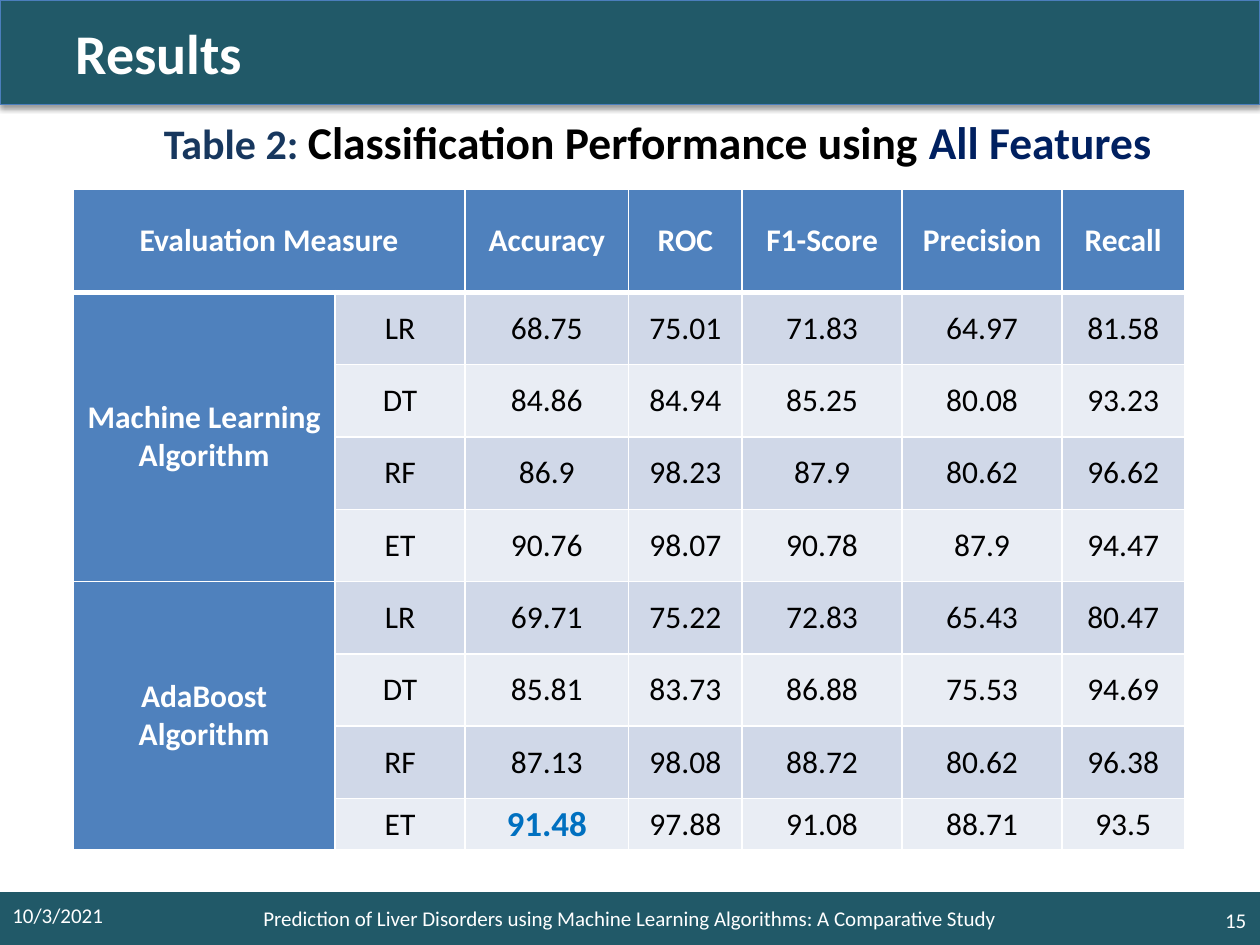
"""Build the results slide with the table of classification performance."""
from dataclasses import dataclass
from typing import Any

from lxml.etree import SubElement
from pptx import Presentation
from pptx.dml.color import RGBColor
from pptx.enum.shapes import MSO_SHAPE as Preset
from pptx.enum.text import MSO_ANCHOR as Anchor, MSO_AUTO_SIZE as AutoSize, PP_ALIGN as Align
from pptx.oxml.ns import qn
from pptx.util import Inches, Pt

WHITE = RGBColor(0xFF, 0xFF, 0xFF)
BLACK = RGBColor(0x00, 0x00, 0x00)
TEAL = RGBColor(0x21, 0x59, 0x68)
OUTLINE = RGBColor(0x4B, 0x7E, 0xBC)
CAPTION_BLUE = RGBColor(0x17, 0x37, 0x5E)
NAVY = RGBColor(0x00, 0x20, 0x60)
HEADER_BLUE = RGBColor(0x4F, 0x81, 0xBD)
BANDS = (RGBColor(0xD0, 0xD8, 0xE8), RGBColor(0xE9, 0xED, 0xF4))
BEST_BLUE = RGBColor(0x00, 0x70, 0xC0)


@dataclass(frozen=True)
class Box:
    left: float
    top: float
    width: float
    height: float

    def lengths(self) -> tuple:
        return tuple(Inches(value) for value in (self.left, self.top, self.width, self.height))


@dataclass(frozen=True)
class Words:
    text: str
    size: float
    color: RGBColor = WHITE
    bold: bool = False


@dataclass(frozen=True)
class Group:
    name: str
    results: tuple


HEADINGS = ("Evaluation Measure", "", "Accuracy", "ROC", "F1-Score", "Precision", "Recall")
GROUPS = (
    Group("Machine Learning Algorithm", (
        ("LR", "68.75", "75.01", "71.83", "64.97", "81.58"),
        ("DT", "84.86", "84.94", "85.25", "80.08", "93.23"),
        ("RF", "86.9", "98.23", "87.9", "80.62", "96.62"),
        ("ET", "90.76", "98.07", "90.78", "87.9", "94.47"),
    )),
    Group("AdaBoost Algorithm", (
        ("LR", "69.71", "75.22", "72.83", "65.43", "80.47"),
        ("DT", "85.81", "83.73", "86.88", "75.53", "94.69"),
        ("RF", "87.13", "98.08", "88.72", "80.62", "96.38"),
        ("ET", "91.48", "97.88", "91.08", "88.71", "93.5"),
    )),
)
BEST_ACCURACY = "91.48"
TABLE_BOX = Box(0.58, 1.5, 8.83, 5.25)
COLUMN_WIDTHS = (2.08, 1.03, 1.3, 0.9, 1.27, 1.27, 0.97)
HEADER_HEIGHT, LAST_HEIGHT = 0.82, 0.41


def apply_format(target: Any, values: dict) -> None:
    for name, value in values.items():
        setattr(target, name, value)


def write(frame: Any, words: tuple, align: Align) -> None:
    paragraph = frame.paragraphs[0]
    paragraph.alignment = align
    for part in words:
        run = paragraph.add_run()
        run.text = part.text
        apply_format(run.font, {"name": "Calibri", "size": Pt(part.size), "bold": part.bold})
        run.font.color.rgb = part.color


def paint(shape: Any, color: RGBColor) -> None:
    shape.fill.solid()
    shape.fill.fore_color.rgb = color


def add_title(slide: Any, text: str) -> None:
    title = slide.shapes.title
    apply_format(title, dict(zip(("left", "top", "width", "height"), Box(0, 0, 10, 0.83).lengths())))
    paint(title, TEAL)
    title.line.color.rgb = OUTLINE
    title.line.width = Pt(0.75)
    title.shadow.inherit = False
    effects = title.element.spPr.find(qn("a:effectLst"))
    shadow = SubElement(effects, qn("a:outerShdw"), blurRad=str(Pt(3.1)), dist=str(Pt(1.6)),
                        dir="5400000", rotWithShape="0")
    color = SubElement(shadow, qn("a:srgbClr"), val=str(BLACK))
    SubElement(color, qn("a:alpha"), val="38000")
    apply_format(title.text_frame, {"auto_size": AutoSize.NONE, "word_wrap": True,
                                    "vertical_anchor": Anchor.MIDDLE, "margin_left": Inches(0.6)})
    write(title.text_frame, (Words(text, 32, bold=True),), Align.JUSTIFY)


def add_footer_bar(slide: Any, text: str) -> None:
    bar = slide.shapes.add_shape(Preset.RECTANGLE, *Box(0, 7.08, 10, 0.42).lengths())
    paint(bar, TEAL)
    bar.line.fill.background()
    bar.shadow.inherit = False
    apply_format(bar.text_frame, {"word_wrap": True, "vertical_anchor": Anchor.MIDDLE})
    write(bar.text_frame, (Words(text, 12),), Align.CENTER)


def add_text(slide: Any, box: Box, words: tuple, align: Align,
             anchor: Anchor = Anchor.MIDDLE, indent: float = 0.1) -> None:
    frame = slide.shapes.add_textbox(*box.lengths()).text_frame
    apply_format(frame, {"word_wrap": True, "vertical_anchor": anchor,
                         "margin_left": Inches(indent)})
    write(frame, words, align)


def add_borders(cell: Any, row: int) -> None:
    properties = cell._tc.get_or_add_tcPr()
    widths = {"L": 1, "R": 1, "T": 3 if row == 1 else 1, "B": 3 if row == 0 else 1}
    for side, width in widths.items():
        line = SubElement(properties, qn(f"a:ln{side}"), w=str(Pt(width)))
        fill = SubElement(line, qn("a:solidFill"))
        SubElement(fill, qn("a:srgbClr"), val=str(WHITE))


def fill_cell(cell: Any, row: int, column: int, text: str) -> None:
    is_heading = row == 0 or column == 0
    add_borders(cell, row)
    paint(cell, HEADER_BLUE if is_heading else BANDS[(row - 1) % 2])
    apply_format(cell, {"vertical_anchor": Anchor.MIDDLE,
                        "margin_left": Inches(0.07), "margin_right": Inches(0.07),
                        "margin_top": 0, "margin_bottom": 0})
    if not text:
        return
    if text == BEST_ACCURACY:
        words = Words(text, 20, BEST_BLUE, True)
    else:
        words = Words(text, 18, WHITE if is_heading else BLACK, is_heading)
    write(cell.text_frame, (words,), Align.CENTER)


def add_results_table(slide: Any) -> None:
    rows = [HEADINGS]
    for group in GROUPS:
        rows += [("" if index else group.name, *result)
                 for index, result in enumerate(group.results)]
    table = slide.shapes.add_table(len(rows), len(HEADINGS), *TABLE_BOX.lengths()).table
    for column, width in zip(table.columns, COLUMN_WIDTHS):
        column.width = Inches(width)
    middle = (TABLE_BOX.height - HEADER_HEIGHT - LAST_HEIGHT) / (len(rows) - 2)
    heights = [HEADER_HEIGHT, *[middle] * (len(rows) - 2), LAST_HEIGHT]
    for row, height in zip(table.rows, heights):
        row.height = Inches(height)
    for row, texts in enumerate(rows):
        for column, text in enumerate(texts):
            fill_cell(table.cell(row, column), row, column, text)
    table.cell(0, 0).merge(table.cell(0, 1))
    first = 1
    for group in GROUPS:
        last = first + len(group.results) - 1
        table.cell(first, 0).merge(table.cell(last, 0))
        first = last + 1


def main() -> None:
    presentation = Presentation()
    apply_format(presentation, {"slide_width": Inches(10), "slide_height": Inches(7.5)})
    slide = presentation.slides.add_slide(presentation.slide_layouts[5])
    add_title(slide, "Results")
    add_footer_bar(slide, "Prediction of Liver Disorders using Machine Learning Algorithms: "
                          "A Comparative Study")
    add_text(slide, Box(0, 7.06, 1.17, 0.4), (Words("10/3/2021", 12),), Align.LEFT)
    add_text(slide, Box(9.57, 7.1, 0.42, 0.4), (Words("15", 12),), Align.RIGHT)
    caption = (Words("Table 2: ", 24, CAPTION_BLUE, True),
               Words("Classification Performance using ", 26, BLACK, True),
               Words("All Features", 26, NAVY, True))
    add_text(slide, Box(0.75, 0.86, 8.67, 6.14), caption, Align.JUSTIFY, Anchor.TOP, 0.55)
    add_results_table(slide)
    presentation.save("out.pptx")


if __name__ == "__main__":
    main()
